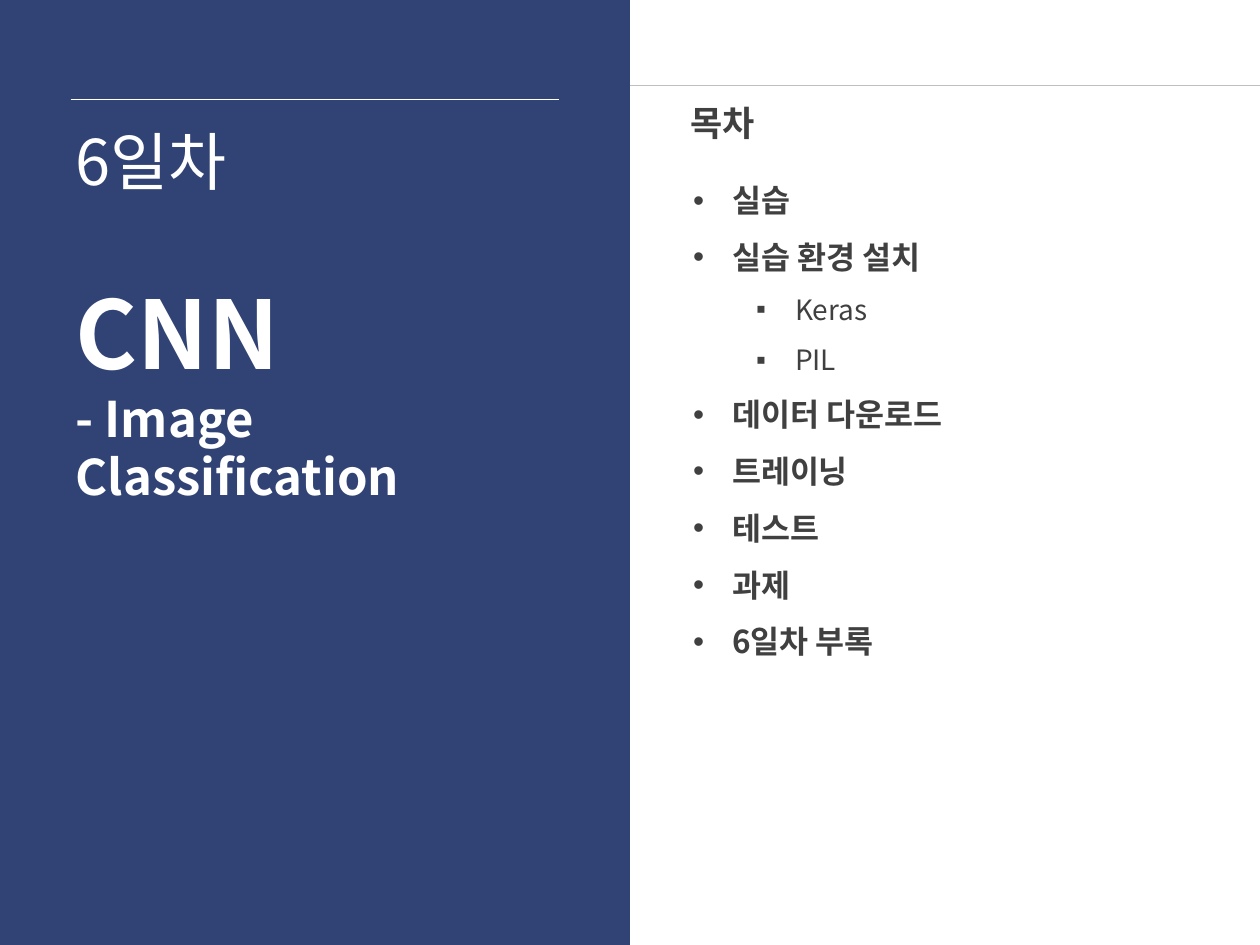
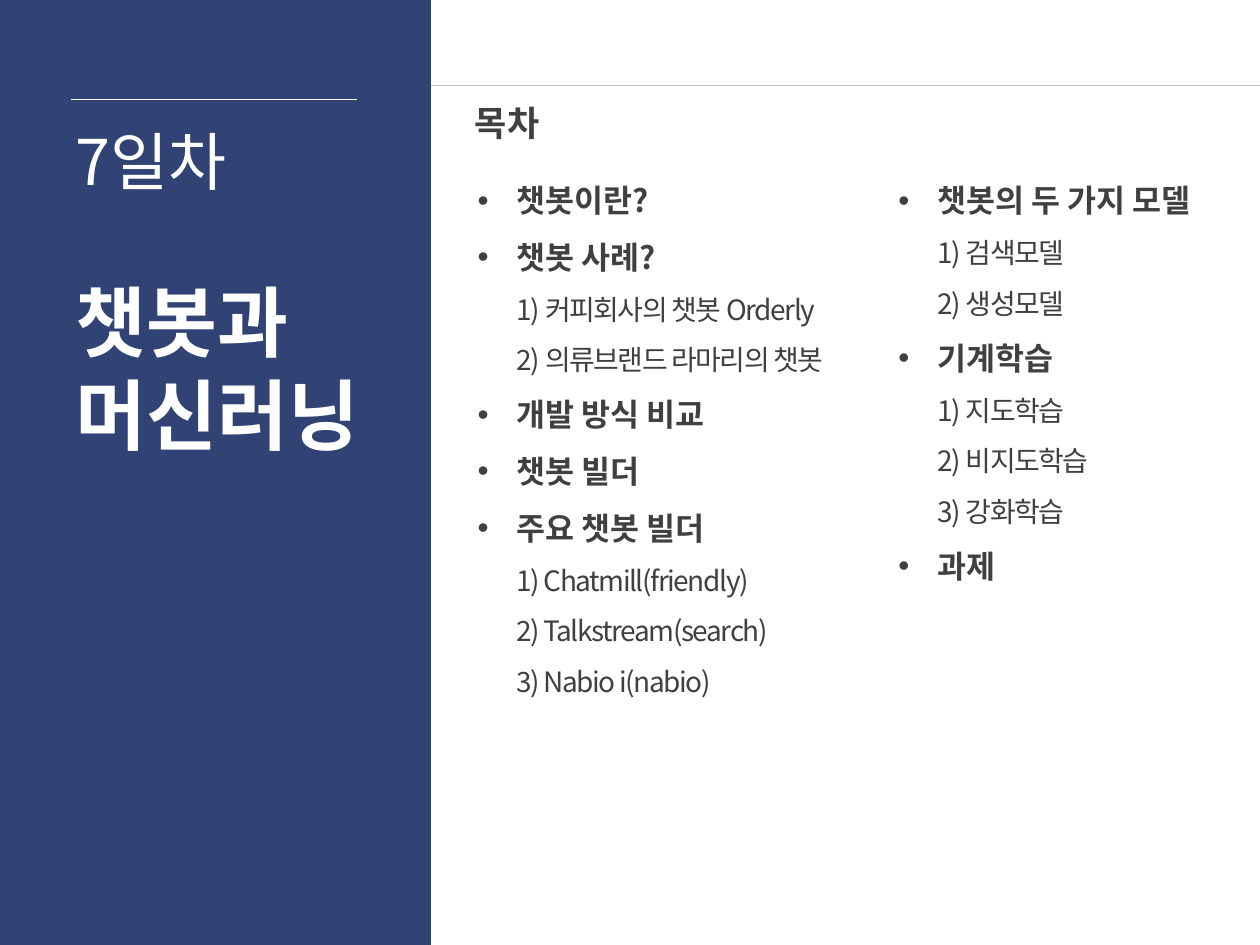
from lxml.etree import SubElement
from pptx import Presentation
from pptx.dml.color import RGBColor
from pptx.enum.shapes import MSO_CONNECTOR as Connector, MSO_SHAPE as Shape
from pptx.enum.text import MSO_ANCHOR as Anchor, PP_ALIGN as Align
from pptx.oxml.ns import qn
from pptx.util import Emu, Pt

PX = 9144  # 100 px to the inch
WIDTH, HEIGHT = 1000, 750
COLORS = {"band": "304374", "text": "404040", "rule": "BFBFBF", "white": "FFFFFF"}
FONT = "Noto Sans CJK KR"
BAND_TEXT_LEFT = 50
RULE_LEFT = 56
TOPIC, DETAIL = 18, 16
BULLETS = {1: ("•", 81), 2: ("▪", 131)}
HANGING = 31


def px(*lengths):
    return [Emu(length * PX) for length in lengths]


def rgb(name):
    return RGBColor.from_string(COLORS[name])


class Deck:
    """Holds the shared style and the slide being drawn."""

    def __init__(self):
        self.presentation = Presentation()
        self.presentation.slide_width, self.presentation.slide_height = px(WIDTH, HEIGHT)
        self.slide = None

    def new_slide(self):
        self.slide = self.presentation.slides.add_slide(self.presentation.slide_layouts[5])

    def line(self, left, right, y, color):
        connector = self.slide.shapes.add_connector(Connector.STRAIGHT, *px(left, y, right, y))
        connector.line.color.rgb = rgb(color)
        connector.line.width = Pt(0.75)
        SubElement(connector._element.spPr, qn("a:effectLst"))

    def band(self, width):
        shape = self.slide.shapes.add_shape(Shape.RECTANGLE, *px(0, 0, width, HEIGHT))
        shape.shadow.inherit = False
        shape.fill.solid()
        shape.fill.fore_color.rgb = rgb("band")
        shape.line.fill.background()

    def style(self, paragraph, color, size=None, bold=None):
        font = paragraph.font
        font.name = FONT
        font.color.rgb = rgb(color)
        font.bold = bold
        if size:
            font.size = Pt(size)
        SubElement(font._element, qn("a:ea"), typeface=FONT)

    def frame(self, box, margins):
        """Adds a wrapping text box and returns its text frame."""
        frame = self.slide.shapes.add_textbox(*px(*box)).text_frame
        frame.word_wrap = True
        (frame.margin_left, frame.margin_top,
         frame.margin_right, frame.margin_bottom) = px(*margins)
        return frame

    def label(self, text, box, color, size, bold=False, margins=(10, 5, 10, 5), spacing=1.0):
        paragraph = self.frame(box, margins).paragraphs[0]
        paragraph.text = text
        paragraph.line_spacing = spacing
        self.style(paragraph, color, size, bold)

    def title(self, paragraphs, width):
        """Each paragraph is a list of (text, size) lines."""
        title = self.slide.shapes.title
        title.left, title.top, title.width, title.height = px(BAND_TEXT_LEFT, 213, width, 205)
        title._element.getparent().append(title._element)  # in front of the band
        frame = title.text_frame
        frame.vertical_anchor = Anchor.TOP
        frame.word_wrap = True
        for index, lines in enumerate(paragraphs):
            paragraph = frame.add_paragraph() if index else frame.paragraphs[0]
            paragraph.alignment = Align.LEFT
            self.style(paragraph, "white", bold=True)
            self.add_lines(paragraph, lines)

    def add_lines(self, paragraph, lines):
        for index, (text, size) in enumerate(lines):
            if index:
                paragraph.add_line_break()
                line_break = paragraph._p.findall(qn("a:br"))[-1]
                SubElement(line_break, qn("a:rPr"), sz=str(size * 100))
            run = paragraph.add_run()
            run.text = text
            run.font.size = Pt(size)
            if size == DETAIL:
                run.font.bold = False
                run.font._element.set("spc", "-80")

    def outline(self, box, items):
        """Each item is (level, heading, *numbered details)."""
        frame = self.frame(box, (0, 5, 10, 5))
        for index, (level, heading, *details) in enumerate(items):
            paragraph = frame.add_paragraph() if index else frame.paragraphs[0]
            paragraph.level = level
            paragraph.line_spacing = 1.5
            bullet, indent = BULLETS[level]
            properties = paragraph._p.get_or_add_pPr()
            properties.set("marL", str(indent * PX))
            properties.set("indent", str(-HANGING * PX))
            SubElement(properties, qn("a:buFont"), typeface="Arial")
            SubElement(properties, qn("a:buChar"), char=bullet)
            if details:
                self.style(paragraph, "text", bold=True)
                numbered = [(f"{number}) {detail}", DETAIL)
                            for number, detail in enumerate(details, 1)]
                self.add_lines(paragraph, [(heading, TOPIC)] + numbered)
            else:
                paragraph.add_run().text = heading
                self.style(paragraph, "text", TOPIC if level == 1 else DETAIL, level == 1)

    def day(self, name, band_width, rule_right, contents_left, title, title_width, outlines):
        """Draws the opening slide of one day."""
        self.new_slide()
        self.line(0, WIDTH, 68, "rule")
        self.band(band_width)
        for box, items in outlines:
            self.outline(box, items)
        self.label(name, (BAND_TEXT_LEFT, 92, 388, 66), "white", 36)
        self.label("목차", (contents_left, 64, 76, 52), "text", 20, True, (0, 0, 0, 0), 1.5)
        self.line(RULE_LEFT, rule_right, 79, "white")
        self.title(title, title_width)


def main():
    deck = Deck()
    deck.day(
        "6일차", 500, 444, 548,
        [[("CNN", 54), ("- Image Classification", 28)]], 401,
        [((500, 124, 388, 409), [
            (1, "실습"),
            (1, "실습 환경 설치"),
            (2, "Keras"),
            (2, "PIL"),
            (1, "데이터 다운로드"),
            (1, "트레이닝"),
            (1, "테스트"),
            (1, "과제"),
            (1, "6일차 부록"),
        ])])
    deck.day(
        "7일차", 342, 283, 377,
        [[("챗봇과", 44)], [("머신러닝", 44)]], 253,
        [((329, 124, 388, 530), [
            (1, "챗봇이란?"),
            (1, "챗봇 사례?", "커피회사의 챗봇 Orderly", "의류브랜드 라마리의 챗봇"),
            (1, "개발 방식 비교"),
            (1, "챗봇 빌더"),
            (1, "주요 챗봇 빌더", "Chatmill(friendly)", "Talkstream(search)", "Nabio i(nabio)"),
        ]), ((663, 124, 328, 485), [
            (1, "챗봇의 두 가지 모델", "검색모델", "생성모델"),
            (1, "기계학습", "지도학습", "비지도학습", "강화학습"),
            (1, "과제"),
        ])])
    deck.presentation.save("out.pptx")


if __name__ == "__main__":
    main()
